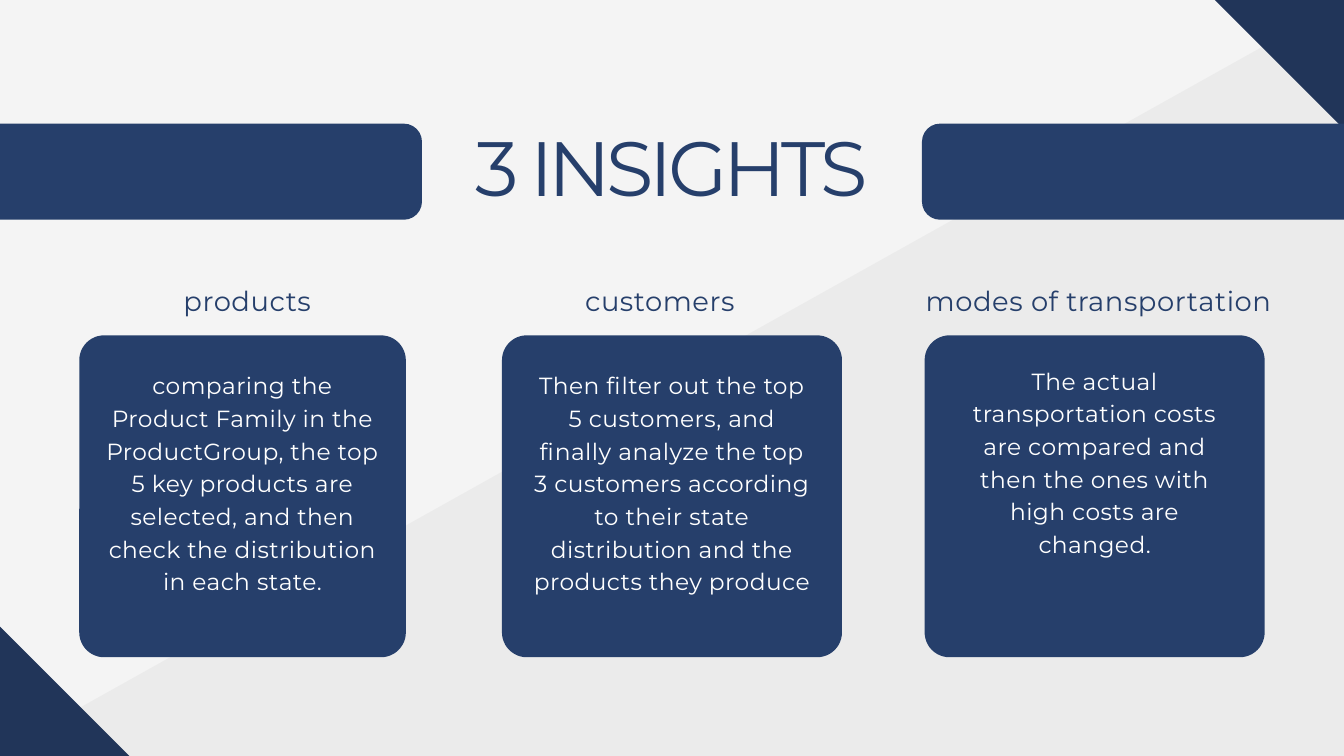
import pptx
import pptx.util
import pptx.dml.color
import pptx.enum.shapes
import pptx.enum.text
import pptx.oxml.ns
from lxml import etree

COLS, ROWS = 20, 11.25
NAVY, DARK, GREY, WHITE, PAPER = "263F6B", "213559", "545454", "FFFFFF", "F4F4F4"
FONT = "Montserrat"

prs = pptx.Presentation()
prs.slide_width = pptx.util.Inches(20)
prs.slide_height = pptx.util.Inches(11.25)
COL, ROW = prs.slide_width / COLS, prs.slide_height / ROWS


def rgb(value):
    return pptx.dml.color.RGBColor.from_string(value)


def emu(box):
    """Turn a box in grid columns and rows into slide lengths."""
    x, y, w, h = box
    return int(x * COL), int(y * ROW), int(w * COL), int(h * ROW)


def add_block(slide, box, color, radius=0, rotation=0, alpha=None):
    kinds = pptx.enum.shapes.MSO_SHAPE
    kind = kinds.ROUNDED_RECTANGLE if radius else kinds.RECTANGLE
    sp = slide.shapes.add_shape(kind, *emu(box))
    if radius:
        sp.adjustments[0] = radius / min(box[2:])
    sp.rotation = rotation
    sp.shadow.inherit = False
    sp.line.fill.background()
    sp.fill.solid()
    sp.fill.fore_color.rgb = rgb(color)
    if alpha is not None:
        clr = sp.fill._xPr.find(".//" + pptx.oxml.ns.qn("a:srgbClr"))
        etree.SubElement(clr, pptx.oxml.ns.qn("a:alpha"), val=str(alpha * 1000))


def add_text(slide, box, text, size, color, leading, spacing):
    tf = slide.shapes.add_textbox(*emu(box)).text_frame
    tf.word_wrap = True
    tf.margin_left = tf.margin_right = tf.margin_top = tf.margin_bottom = 0
    p = tf.paragraphs[0]
    p.alignment = pptx.enum.text.PP_ALIGN.CENTER
    p.line_spacing = pptx.util.Pt(leading)
    r = p.add_run()
    r.text = text
    r.font.name = FONT
    r.font.size = pptx.util.Pt(size)
    r.font.color.rgb = rgb(color)
    r.font._element.set("spc", str(round(spacing * 100)))


def add_backdrop(slide, box):
    """Slanted tint and two dark corners on the box's diagonal."""
    x, y, w, h = box
    slide.background.fill.solid()
    slide.background.fill.fore_color.rgb = rgb(PAPER)
    add_block(slide, (x - 1.22, y + 4.76, 28.2, 10.48), GREY, rotation=330.8, alpha=5)
    cw, ch = 5.79, 2.72
    for cx, cy in ((x, y + h), (x + w, y)):
        add_block(slide, (cx - cw / 2, cy - ch / 2, cw, ch), DARK, rotation=45)


def add_header(slide, box):
    """Title between two bands that bleed off the sides."""
    x, y, w, h = box
    band = 9.03
    for left in (x + 6.28 - band, x + 13.72):
        add_block(slide, (left, y, band, h), NAVY, radius=0.27)
    add_text(slide, (x + 6.75, y + 0.19, 6.49, 1.18), "3 INSIGHTS",
             82.4, NAVY, 80.7, -4.8)


def add_insight(slide, box, label, label_width, label_shift, body, body_top):
    """Card with a heading above it and centred body text inside."""
    x, y, w, h = box
    add_block(slide, box, NAVY, radius=0.37)
    middle = x + w / 2
    add_text(slide, (middle - 2.09, y + body_top, 4.18, 3.33), body,
             25, WHITE, 35, 0.5)
    add_text(slide, (middle + label_shift - label_width / 2, y - 1.05, label_width, 0.69),
             label, 29.4, NAVY, 55.9, 0.6)


# Card width, heading, heading width and shift, body, body offset
INSIGHTS = [
    (4.86, "products", 3.83, 0.07,
     "comparing the Product Family in the ProductGroup, the top 5 key products "
     "are selected, and then check the distribution in each state.", 0.47),
    (5.06, "customers", 3.83, -0.18,
     "Then filter out the top 5 customers, and finally analyze the top 3 customers "
     "according to their state distribution and the products they produce", 0.47),
    (5.06, "modes of transportation", 7.3, 0.06,
     "The actual transportation costs are compared and then the ones with high "
     "costs are changed.", 0.4),
]

s = prs.slides.add_slide(prs.slide_layouts[6])
add_backdrop(s, (0, 0, COLS, ROWS))
add_header(s, (0, 1.84, COLS, 1.43))
for i, (width, *parts) in enumerate(INSIGHTS):
    add_insight(s, (1.18 + i * 6.29, 4.99, width, 4.79), *parts)

prs.save("out.pptx")
